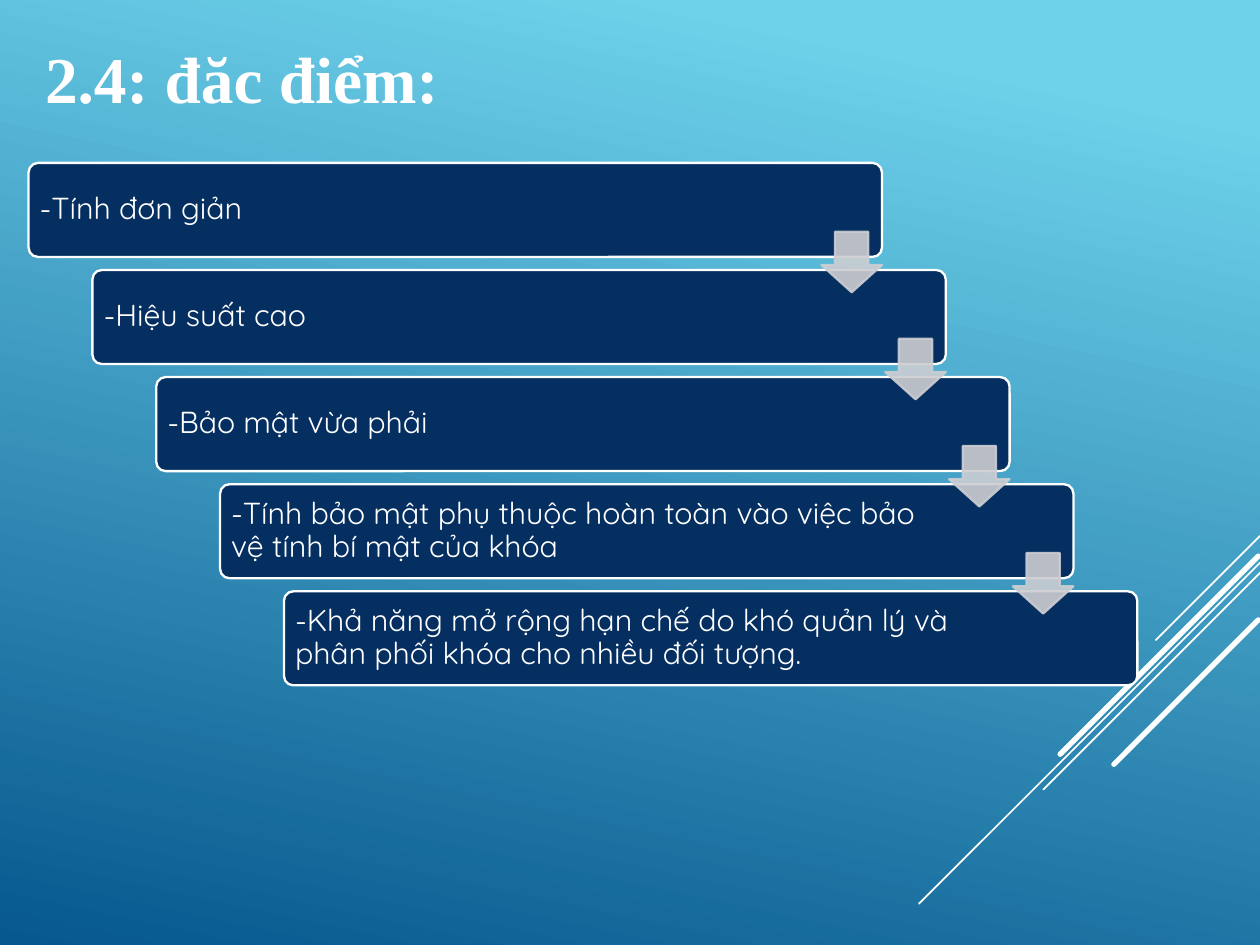
from lxml.etree import SubElement
from pptx import Presentation
from pptx.dml.color import RGBColor
from pptx.enum.shapes import MSO_CONNECTOR, MSO_SHAPE
from pptx.enum.text import MSO_ANCHOR, MSO_AUTO_SIZE, PP_ALIGN
from pptx.oxml.ns import qn
from pptx.util import Inches, Pt

TITLE = "2.4: đăc điểm:"
STEPS = [
    "-Tính đơn giản",
    "-Hiệu suất cao",
    "-Bảo mật vừa phải",
    "-Tính bảo mật phụ thuộc hoàn toàn vào việc bảo vệ tính bí mật của khóa",
    "-Khả năng mở rộng hạn chế do khó quản lý và phân phối khóa cho nhiều đối tượng.",
]
RAYS = [
    (7.5, 3.19, 0.62, 0.75),
    (7.5, 3.35, 2.03, 0.75),
    (7.5, 3.41, 1.29, 0.75),
    (7.49, 3.31, 1.18, 2.25),
    (7.49, 3.69, 0.86, 2.25),
]
COLORS = {"white": "FFFFFF", "navy": "052F61", "gray": "CCCDD2",
          "sky": "6ED2EB", "deep": "06588E"}
WIDE = 7.5
HIGH = WIDE * 3 / 4
LEFT, TOP, LAST = 0.17, 0.97, 3.52
BAR_W, BAR_H, ARROW = 5.08, 0.56, 0.36
STEP_X, STEP_Y = 0.38, (LAST - TOP) / (len(STEPS) - 1)


def color(name):
    return RGBColor.from_string(COLORS[name])


def write(shape, text, font, size, bold=False, spacing=None):
    frame = shape.text_frame
    frame.word_wrap = True
    para = frame.paragraphs[0]
    para.alignment = PP_ALIGN.LEFT
    if spacing:
        para.line_spacing = spacing
    run = para.add_run()
    run.text = text
    run.font.name = font
    run.font.size = Pt(size)
    run.font.bold = bold
    run.font.color.rgb = color("white")
    return frame


def draw(slide, kind, box, fill, line, adjust):
    shape = slide.shapes.add_shape(kind, *map(Inches, box))
    shape.shadow.inherit = False
    shape.fill.solid()
    shape.fill.fore_color.rgb = color(fill)
    shape.line.color.rgb = color(line)
    shape.line.width = Pt(1)
    for i, value in enumerate(adjust):
        shape.adjustments[i] = value
    return shape


def paint(slide):
    fill = slide.background.fill
    fill.gradient()
    fill.gradient_angle = 360 - 102
    for stop, name, place in zip(fill.gradient_stops, ("sky", "deep"), (0.1, 1)):
        stop.color.rgb = color(name)
        stop.position = place


def add_ray(slide, x, y, run, width):
    ends = map(Inches, (x, y, x - run, y + run))
    ray = slide.shapes.add_connector(MSO_CONNECTOR.STRAIGHT, *ends)
    ray.line.color.rgb = color("white")
    ray.line.width = Pt(width)
    props = ray._element.spPr
    props.find(qn("a:ln")).set("cap", "rnd")
    SubElement(props, qn("a:effectLst"))


def add_bar(slide, i, text):
    box = (LEFT + i * STEP_X, TOP + i * STEP_Y, BAR_W, BAR_H)
    bar = draw(slide, MSO_SHAPE.ROUNDED_RECTANGLE, box, "navy", "white", [0.1])
    frame = write(bar, text, "Quicksand", 13, spacing=0.9)
    frame.vertical_anchor = MSO_ANCHOR.MIDDLE
    frame.margin_left = frame.margin_top = frame.margin_bottom = Inches(0.05)
    frame.margin_right = Inches(0.79)


def add_arrow(slide, i):
    x = LEFT + i * STEP_X + BAR_W - ARROW
    y = TOP + i * STEP_Y + 0.41
    arrow = draw(slide, MSO_SHAPE.DOWN_ARROW, (x, y, ARROW, ARROW),
                 "gray", "gray", [0.55, 0.45])
    for tint in arrow._element.spPr.iter(qn("a:srgbClr")):
        SubElement(tint, qn("a:alpha"), val="90000")


def main():
    deck = Presentation()
    deck.slide_width, deck.slide_height = Inches(WIDE), Inches(HIGH)
    slide = deck.slides.add_slide(deck.slide_layouts[6])
    paint(slide)
    for ray in RAYS:
        add_ray(slide, *ray)
    title = slide.shapes.add_textbox(*map(Inches, (LEFT, 0.18, 4.08, 0.57)))
    frame = write(title, TITLE, "Times New Roman", 28, bold=True)
    frame.auto_size = MSO_AUTO_SIZE.SHAPE_TO_FIT_TEXT
    for i, text in enumerate(STEPS):
        add_bar(slide, i, text)
    for i in range(len(STEPS) - 1):
        add_arrow(slide, i)
    deck.save("out.pptx")


if __name__ == "__main__":
    main()
